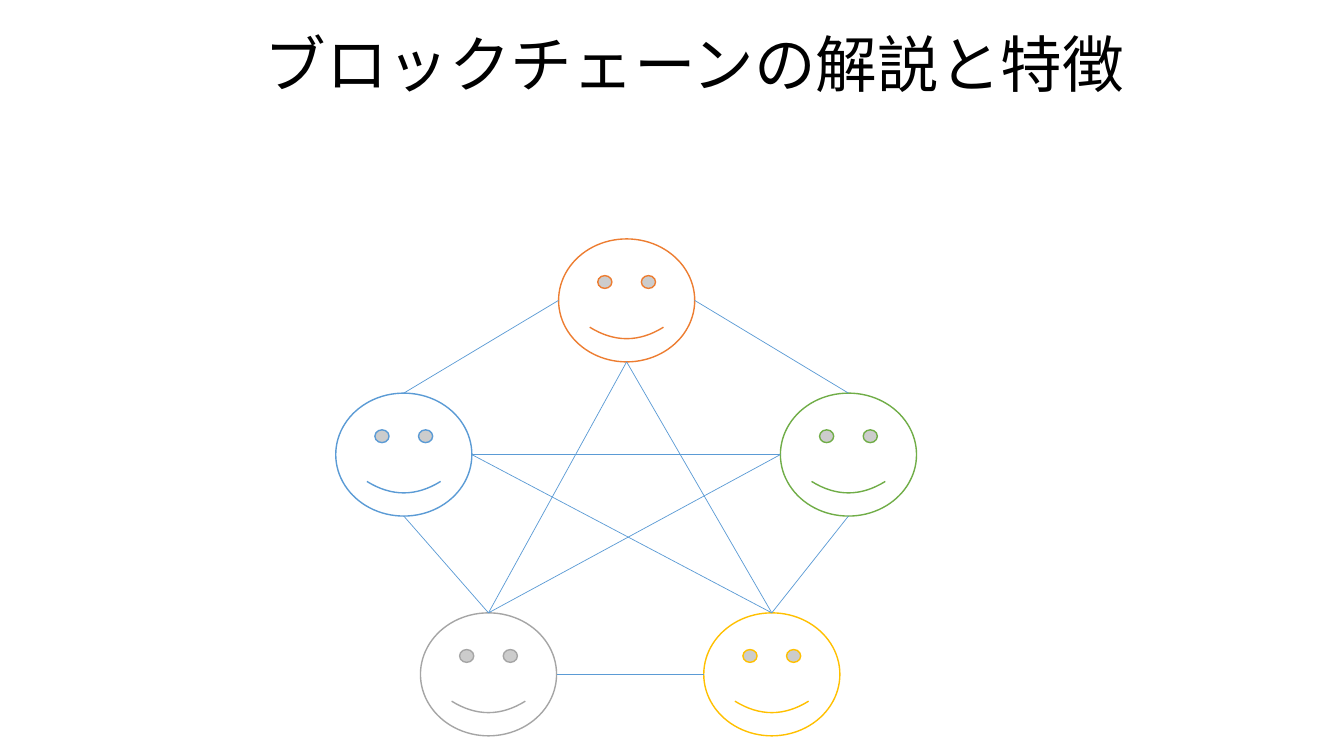
"""Build a slide showing five blockchain peers that are all linked to each other."""
import pptx
import pptx.dml.color
import pptx.enum.shapes
import pptx.enum.text
import pptx.oxml.ns
import pptx.util
from lxml import etree

Inches = pptx.util.Inches
Pt = pptx.util.Pt
RGBColor = pptx.dml.color.RGBColor

BLACK = RGBColor(0x00, 0x00, 0x00)
WHITE = RGBColor(0xFF, 0xFF, 0xFF)
BLUE = RGBColor(0x5B, 0x9B, 0xD5)
GRAY = RGBColor(0xA5, 0xA5, 0xA5)
ORANGE = RGBColor(0xED, 0x7D, 0x31)
GREEN = RGBColor(0x70, 0xAD, 0x47)
GOLD = RGBColor(0xFF, 0xC0, 0x00)

FACE_WIDTH, FACE_HEIGHT = 1.35, 1.22
SIDES = {"top": (0.5, 0), "left": (0, 0.5), "bottom": (0.5, 1), "right": (1, 0.5)}

PEERS = {
    "west": (3.33, 3.9, BLUE),
    "southwest": (4.17, 6.08, GRAY),
    "north": (5.54, 2.37, ORANGE),
    "east": (7.74, 3.9, GREEN),
    "southeast": (6.98, 6.08, GOLD),
}

LINKS = [
    ("north", "left", "west", "top"),
    ("east", "top", "north", "right"),
    ("east", "left", "west", "right"),
    ("southeast", "left", "southwest", "right"),
    ("southwest", "top", "west", "bottom"),
    ("southeast", "top", "east", "bottom"),
    ("north", "bottom", "southwest", "top"),
    ("north", "bottom", "southeast", "top"),
    ("southwest", "top", "east", "left"),
    ("west", "right", "southeast", "top"),
]


class NetworkSlide:
    """Hold the slide and its style, and draw each kind of element."""

    font_name = "Calibri"
    link_color = BLUE

    def __init__(self, presentation):
        self.slide = presentation.slides.add_slide(presentation.slide_layouts[5])

    def title(self, text, left, top, width, height):
        """Place and format the title placeholder."""
        shape = self.slide.shapes.title
        shape.left, shape.top = Inches(left), Inches(top)
        shape.width, shape.height = Inches(width), Inches(height)
        frame = shape.text_frame
        frame.word_wrap = True
        frame.auto_size = pptx.enum.text.MSO_AUTO_SIZE.NONE
        frame.vertical_anchor = pptx.enum.text.MSO_ANCHOR.MIDDLE
        paragraph = frame.paragraphs[0]
        paragraph.alignment = pptx.enum.text.PP_ALIGN.CENTER
        paragraph.line_spacing = 0.9
        run = paragraph.add_run()
        run.text = text
        run.font.name = self.font_name
        run.font.size = Pt(44)
        run.font.color.rgb = BLACK

    def face(self, left, top, color):
        """Draw one peer as an outlined smiley face."""
        shape = self.slide.shapes.add_shape(
            pptx.enum.shapes.MSO_SHAPE.SMILEY_FACE,
            Inches(left), Inches(top), Inches(FACE_WIDTH), Inches(FACE_HEIGHT))
        shape.shadow.inherit = False
        shape.fill.solid()
        shape.fill.fore_color.rgb = WHITE
        shape.line.color.rgb = color
        shape.line.width = Pt(1)

    def link(self, start, end):
        """Draw a thin straight line between two points."""
        connector = self.slide.shapes.add_connector(
            pptx.enum.shapes.MSO_CONNECTOR.STRAIGHT,
            *(Inches(value) for value in (*start, *end)))
        connector.line.color.rgb = self.link_color
        connector.line.width = Pt(0.5)
        properties = connector._element.spPr
        etree.SubElement(properties, pptx.oxml.ns.qn("a:effectLst"))


def side_point(peer, side):
    """Return the middle of one side of a peer's face."""
    left, top, _ = PEERS[peer]
    across, down = SIDES[side]
    return left + across * FACE_WIDTH, top + down * FACE_HEIGHT


def main():
    """Build and save the presentation."""
    presentation = pptx.Presentation()
    presentation.slide_width = Inches(13.33)
    presentation.slide_height = Inches(7.5)
    network = NetworkSlide(presentation)
    network.title("ブロックチェーンの解説と特徴", 1.14, -0.05, 11.5, 1.45)
    for left, top, color in PEERS.values():
        network.face(left, top, color)
    for start, start_side, end, end_side in LINKS:
        network.link(side_point(start, start_side), side_point(end, end_side))
    presentation.save("out.pptx")


if __name__ == "__main__":
    main()
